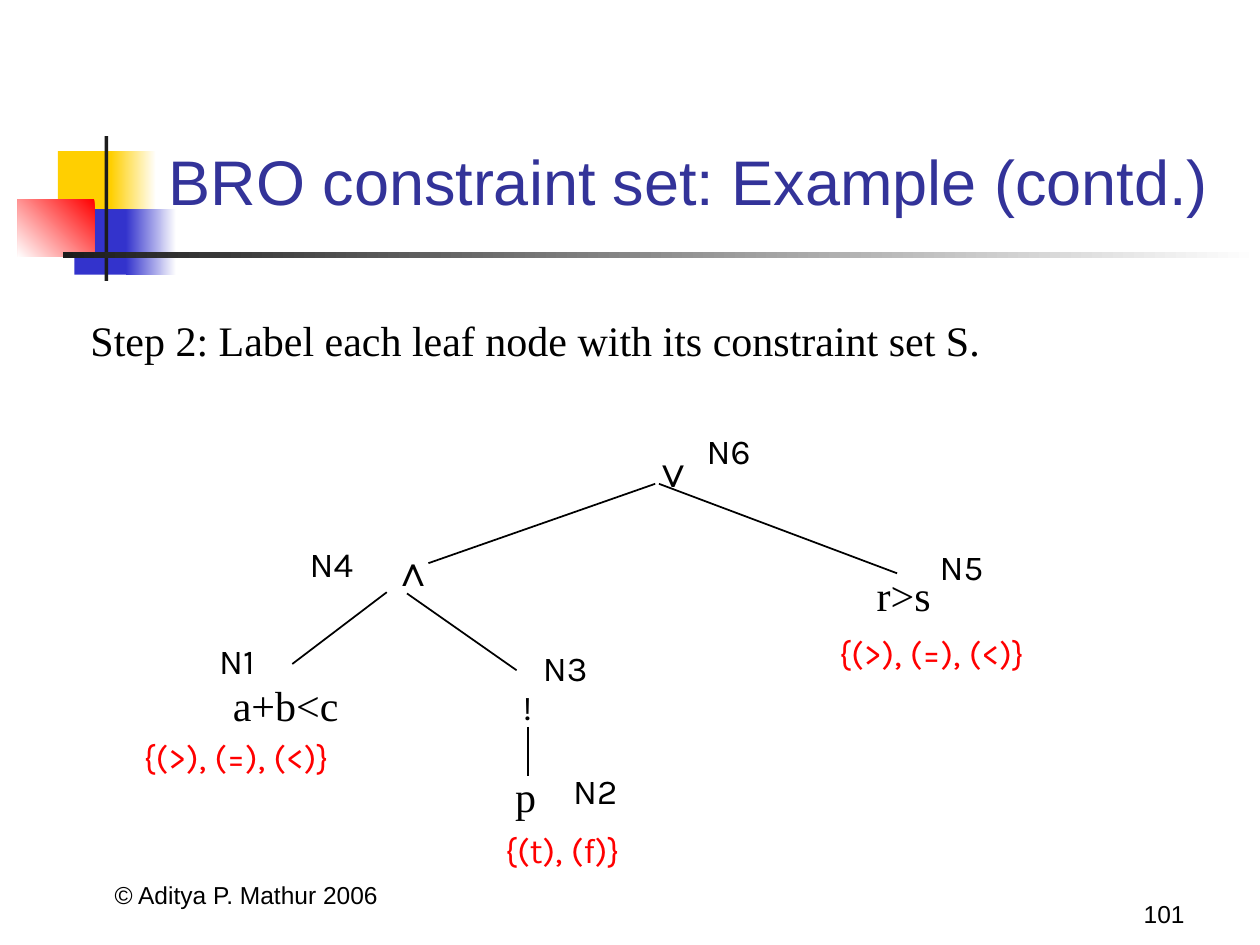
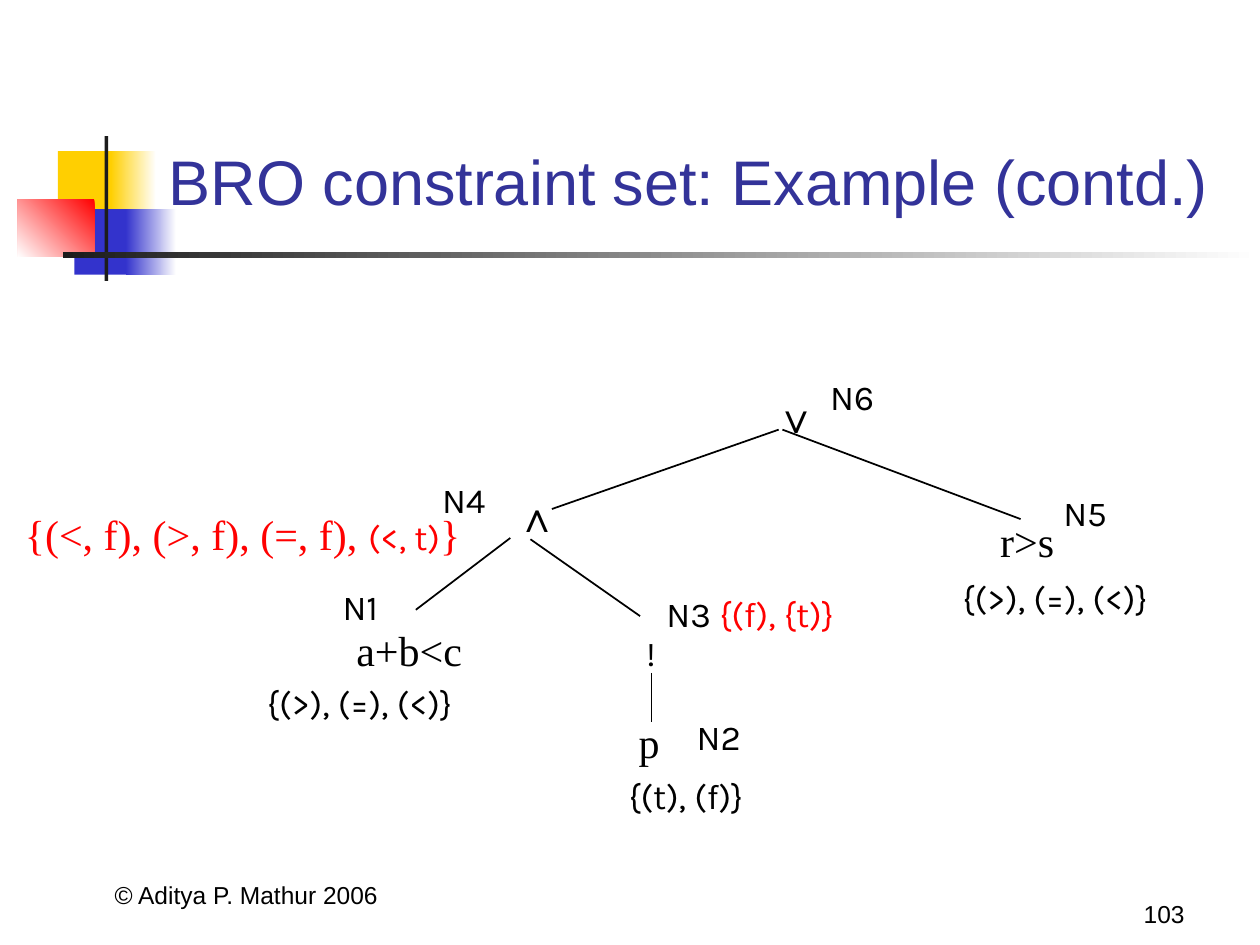
from typing import NamedTuple

import lxml.etree
import pptx
import pptx.dml.color
import pptx.enum.shapes
import pptx.enum.text
import pptx.oxml.ns
import pptx.slide
import pptx.util

EMU_PER_PX = 9144  # 100 px to the inch
BLACK, WHITE, RED = "000000", "FFFFFF", "FF0000"
YELLOW, BLUE, CHARCOAL, TITLE_BLUE = "FFCF01", "3333CC", "1C1C1C", "333399"
ALIGN = pptx.enum.text.PP_ALIGN
ANCHOR = pptx.enum.text.MSO_ANCHOR


class Style(NamedTuple):
    font: str
    size: int


TITLE = Style("Arial", 36)
FOOTER = Style("Arial", 14)
OPERATOR = Style("Arial", 24)
FORMULA = Style("Times New Roman", 24)
NODE = Style("Karla", 20)


class Run(NamedTuple):
    text: str
    style: Style
    color: str = BLACK


class Box(NamedTuple):
    left: int
    top: int
    width: int
    height: int

    def moved(self, right: int, down: int) -> "Box":
        return self._replace(left=self.left + right, top=self.top + down)


class Block(NamedTuple):
    box: Box
    color: str
    fade_angle: int | None = None  # counter-clockwise, fading to white


class Label(NamedTuple):
    box: Box
    text: str
    style: Style
    wrap: bool = True


class Edge(NamedTuple):
    start_x: int
    start_y: int
    end_x: int
    end_y: int


class TreeSlide(NamedTuple):
    number: str
    right: int
    down: int
    set_color: str
    node_4: Box
    node_3: Box
    node_3_set: list[Run]
    note: Box
    note_runs: list[Run]


DECORATION = [
    Block(Box(46, 120, 48, 52), YELLOW),
    Block(Box(88, 120, 36, 52), YELLOW, 0),
    Block(Box(59, 166, 46, 52), BLUE),
    Block(Box(100, 166, 40, 52), BLUE, 0),
    Block(Box(14, 158, 61, 46), RED, 225),
    Block(Box(83, 108, 3, 115), CHARCOAL),
    Block(Box(50, 200, 950, 5), CHARCOAL, 0),
]

EXPRESSIONS = [
    Label(Box(399, 607, 40, 50), "p", FORMULA),
    Label(Box(686, 447, 74, 50), "r>s", FORMULA),
    Label(Box(302, 427, 31, 50), "∧", OPERATOR, wrap=False),
    Label(Box(175, 534, 126, 50), "a+b<c", FORMULA),
    Label(Box(405, 539, 27, 44), "!", NODE, wrap=False),
    Label(Box(508, 349, 20, 50), "∨", OPERATOR),
]

NODE_NAMES = [
    Label(Box(left, top, 61, 44), name, NODE)
    for name, left, top in [("N1", 164, 503), ("N2", 445, 606), ("N6", 551, 336), ("N5", 736, 428)]
]

LEAF_SETS = [
    Label(Box(104, 579, 216, 44), "{(>), (=), (<)}", NODE),
    Label(Box(656, 496, 216, 44), "{(>), (=), (<)}", NODE),
    Label(Box(391, 653, 150, 44), "{(t), (f)}", NODE),
]

EDGES = [
    Edge(307, 470, 232, 527),
    Edge(323, 471, 410, 532),
    Edge(419, 577, 419, 616),
    Edge(520, 384, 340, 447),
    Edge(523, 384, 712, 455),
]

TREE_SLIDES = [
    TreeSlide(
        "101", 0, 0, RED, Box(236, 426, 61, 44), Box(421, 508, 61, 44), [],
        Box(62, 245, 873, 50),
        [Run("Step 2: Label each leaf node with its constraint set S.", FORMULA)],
    ),
    TreeSlide(
        "103", 98, -43, BLACK, Box(341, 375, 61, 44), Box(519, 465, 170, 44),
        [Run(" {(f), {t)}", NODE, RED)],
        Box(10, 399, 400, 50),
        [
            Run("{(<, f), (>, f), (=, f), ", FORMULA, RED),
            Run("(<, t)", NODE, RED),
            Run("}", FORMULA, RED),
        ],
    ),
]


def px(length: int) -> pptx.util.Emu:
    return pptx.util.Emu(length * EMU_PER_PX)


def rgb(color: str) -> pptx.dml.color.RGBColor:
    return pptx.dml.color.RGBColor.from_string(color)


def add_block(slide: pptx.slide.Slide, block: Block) -> None:
    shape = slide.shapes.add_shape(
        pptx.enum.shapes.MSO_SHAPE.RECTANGLE, *map(px, block.box)
    )
    shape.shadow.inherit = False
    shape.line.fill.background()
    if block.fade_angle is None:
        shape.fill.solid()
        shape.fill.fore_color.rgb = rgb(block.color)
        return
    shape.fill.gradient()
    shape.fill.gradient_angle = block.fade_angle
    for stop, color in zip(shape.fill.gradient_stops, (block.color, WHITE)):
        stop.color.rgb = rgb(color)


def add_text(
    slide: pptx.slide.Slide,
    box: Box,
    runs: list[Run],
    align: ALIGN = ALIGN.LEFT,
    anchor: ANCHOR = ANCHOR.TOP,
    wrap: bool = True,
) -> None:
    frame = slide.shapes.add_textbox(*map(px, box)).text_frame
    frame.word_wrap = wrap
    frame.vertical_anchor = anchor
    paragraph = frame.paragraphs[0]
    paragraph.alignment = align
    for item in runs:
        run = paragraph.add_run()
        run.text = item.text
        run.font.name = item.style.font
        run.font.size = pptx.util.Pt(item.style.size)
        run.font.color.rgb = rgb(item.color)


def add_edge(slide: pptx.slide.Slide, edge: Edge, right: int, down: int) -> None:
    connector = slide.shapes.add_connector(
        pptx.enum.shapes.MSO_CONNECTOR.STRAIGHT,
        px(edge.start_x + right), px(edge.start_y + down),
        px(edge.end_x + right), px(edge.end_y + down),
    )
    connector.line.color.rgb = rgb(BLACK)
    connector.line.width = pptx.util.Pt(1)
    properties = connector.element.spPr
    lxml.etree.SubElement(properties, pptx.oxml.ns.qn("a:effectLst"))


def add_frame(slide: pptx.slide.Slide, number: str) -> None:
    """Draw the decoration, footers and title that every slide shares."""
    for block in DECORATION:
        add_block(slide, block)
    add_text(slide, Box(37, 677, 317, 50), [Run("© Aditya P. Mathur 2006", FOOTER)],
             ALIGN.CENTER, ANCHOR.BOTTOM)
    add_text(slide, Box(742, 692, 208, 50), [Run(number, FOOTER)],
             ALIGN.RIGHT, ANCHOR.BOTTOM)
    add_text(slide, Box(124, 107, 852, 71),
             [Run("BRO constraint set: Example (contd.)", TITLE, TITLE_BLUE)],
             anchor=ANCHOR.BOTTOM)


def add_tree(slide: pptx.slide.Slide, content: TreeSlide) -> None:
    right, down = content.right, content.down
    for edge in EDGES:
        add_edge(slide, edge, right, down)
    for labels, color in (
        (EXPRESSIONS, BLACK),
        (NODE_NAMES, BLACK),
        (LEAF_SETS, content.set_color),
    ):
        for label in labels:
            add_text(slide, label.box.moved(right, down),
                     [Run(label.text, label.style, color)], wrap=label.wrap)
    add_text(slide, content.node_4, [Run("N4", NODE)])
    add_text(slide, content.node_3, [Run("N3", NODE), *content.node_3_set])


def main() -> None:
    presentation = pptx.Presentation()
    presentation.slide_width, presentation.slide_height = px(1000), px(750)
    for content in TREE_SLIDES:
        slide = presentation.slides.add_slide(presentation.slide_layouts[6])
        add_frame(slide, content.number)
        add_text(slide, content.note, content.note_runs)
        add_tree(slide, content)
    presentation.save("out.pptx")


if __name__ == "__main__":
    main()
